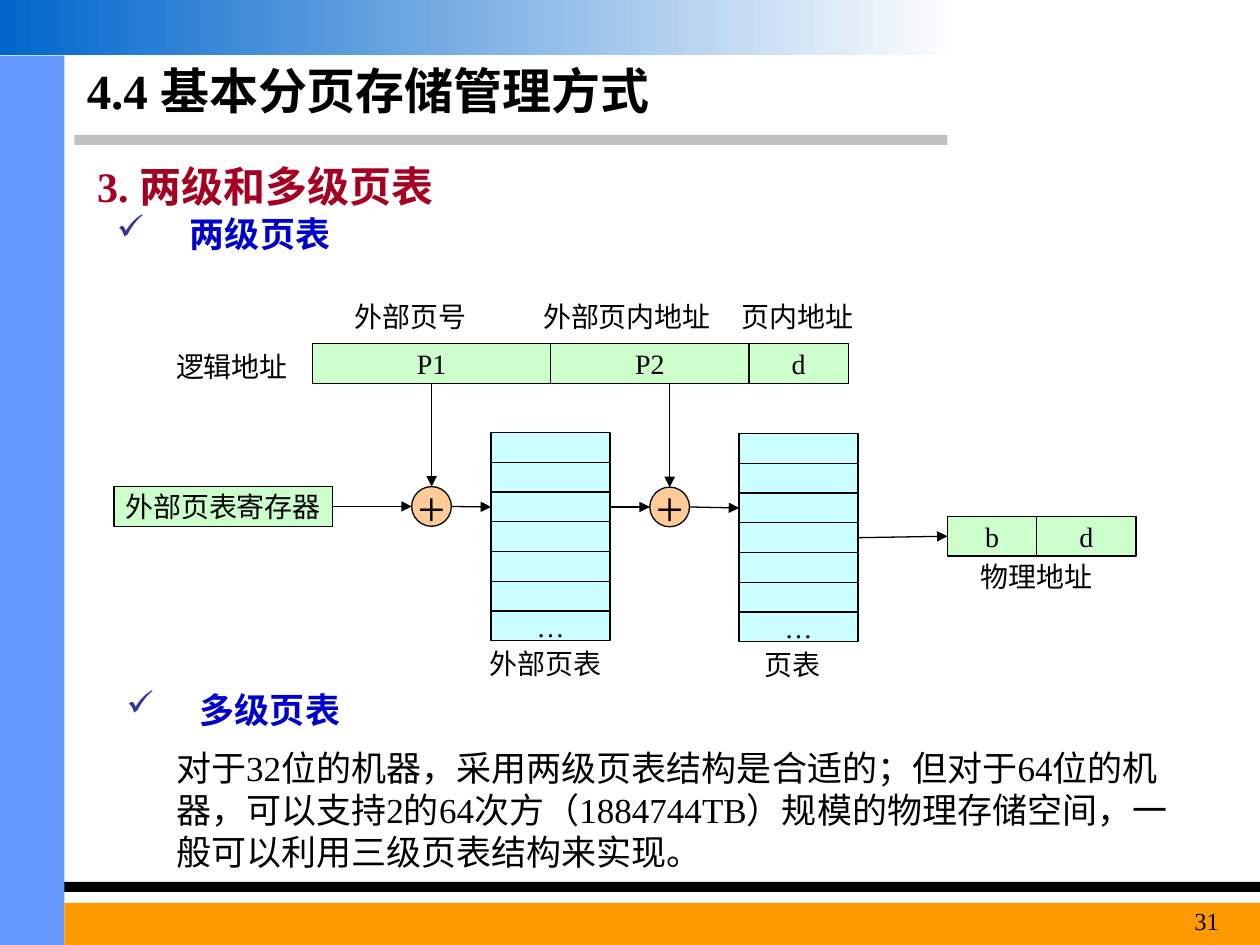
from dataclasses import dataclass
from typing import Any, NamedTuple

from lxml.etree import SubElement
from pptx import Presentation
from pptx.dml.color import RGBColor
from pptx.enum.shapes import MSO_CONNECTOR, MSO_SHAPE
from pptx.enum.text import MSO_ANCHOR, PP_ALIGN
from pptx.oxml.ns import qn
from pptx.util import Cm, Pt


@dataclass(frozen=True)
class Theme:
    font: str = "Times New Roman"
    ink: str = "000000"
    heading: str = "A50021"
    topic: str = "0000CC"
    check: str = "333399"
    rule: str = "C0C0C0"
    sidebar: str = "6699FF"
    footer: str = "FF9900"
    banner_start: str = "0066CC"
    banner_end: str = "FEFEFE"
    address: str = "CCFFCC"
    table: str = "CCFFFF"
    adder: str = "FFCC99"
    title_size: int = 28
    heading_size: int = 24
    body_size: int = 20
    label_size: int = 16
    number_size: int = 14
    line_width: float = 0.75


THEME = Theme()
TOP, LEFT, BOTTOM, RIGHT = range(4)
FIELD_HEIGHT = 0.8
ROW_HEIGHT = 0.6
ROW_COUNT = 7


class Anchor(NamedTuple):
    x: int
    y: int
    shape: Any = None
    side: int = TOP


def color(value):
    return RGBColor.from_string(value)


def style(paragraph, size, ink=THEME.ink, bold=False, align=PP_ALIGN.LEFT):
    paragraph.alignment = align
    font = paragraph.font
    font.name = THEME.font
    font.size = Pt(size)
    font.bold = bold
    font.color.rgb = color(ink)


def add_band(slide, left, top, width, height, fill):
    shape = slide.shapes.add_shape(
        MSO_SHAPE.RECTANGLE, Cm(left), Cm(top), Cm(width), Cm(height))
    shape.shadow.inherit = False
    shape.fill.solid()
    shape.fill.fore_color.rgb = color(fill)
    shape.line.fill.background()
    return shape


def add_node(slide, left, top, width, height, fill, text="",
             kind=MSO_SHAPE.RECTANGLE, size=THEME.label_size):
    shape = slide.shapes.add_shape(kind, Cm(left), Cm(top), Cm(width), Cm(height))
    shape.shadow.inherit = False
    shape.fill.solid()
    shape.fill.fore_color.rgb = color(fill)
    shape.line.color.rgb = color(THEME.ink)
    shape.line.width = Pt(THEME.line_width)
    if text:
        frame = shape.text_frame
        frame.word_wrap = False
        frame.vertical_anchor = MSO_ANCHOR.MIDDLE
        frame.text = text
        style(frame.paragraphs[0], size, align=PP_ALIGN.CENTER)
    return shape


def add_field(slide, left, top, width, text):
    return add_node(slide, left, top, width, FIELD_HEIGHT, THEME.address, text)


def add_adder(slide, left, top):
    return add_node(slide, left, top, FIELD_HEIGHT, FIELD_HEIGHT, THEME.adder, "+",
                    MSO_SHAPE.OVAL, THEME.title_size)


def add_page_table(slide, left, top):
    texts = [""] * (ROW_COUNT - 1) + ["…"]
    return [add_node(slide, left, top + index * ROW_HEIGHT, 2.4, ROW_HEIGHT,
                     THEME.table, text)
            for index, text in enumerate(texts)]


def add_text(slide, left, top, width, height, text, size, **options):
    box = slide.shapes.add_textbox(Cm(left), Cm(top), Cm(width), Cm(height))
    frame = box.text_frame
    frame.word_wrap = True
    frame.text = text
    style(frame.paragraphs[0], size, **options)
    return frame


def add_topic(slide, left, top, text):
    box = slide.shapes.add_textbox(Cm(left), Cm(top), Cm(22.4), Cm(1))
    frame = box.text_frame
    frame.word_wrap = True
    frame.text = text
    paragraph = frame.paragraphs[0]
    paragraph.line_spacing = 0.8
    properties = paragraph._p.get_or_add_pPr()
    properties.set("marL", str(Cm(1.48)))
    properties.set("indent", str(-Cm(1.48)))
    bullet_color = SubElement(properties, qn("a:buClr"))
    SubElement(bullet_color, qn("a:srgbClr"), val=THEME.check)
    SubElement(properties, qn("a:buChar"), char="✓")
    style(paragraph, THEME.body_size, THEME.topic, bold=True)


def anchor(shape, side):
    across, down = {TOP: (1, 0), LEFT: (0, 1), BOTTOM: (1, 2), RIGHT: (2, 1)}[side]
    x = shape.left + shape.width * across // 2
    y = shape.top + shape.height * down // 2
    joins = shape.auto_shape_type == MSO_SHAPE.RECTANGLE or side == TOP
    return Anchor(x, y, shape if joins else None, side)


def add_arrow(slide, begin, end):
    connector = slide.shapes.add_connector(
        MSO_CONNECTOR.STRAIGHT, begin.x, begin.y, end.x, end.y)
    if begin.shape is not None:
        connector.begin_connect(begin.shape, begin.side)
    if end.shape is not None:
        connector.end_connect(end.shape, end.side)
    connector.line.color.rgb = color(THEME.ink)
    connector.line.width = Pt(THEME.line_width)
    SubElement(connector.line._get_or_add_ln(), qn("a:tailEnd"), type="triangle")
    SubElement(connector._element.spPr, qn("a:effectLst"))


def add_frame(slide):
    add_band(slide, 1.5, 2.72, 17.6, 0.2, THEME.rule)
    add_band(slide, 0, 17.78, 25.4, 0.2, THEME.ink)
    add_band(slide, 0, 1.12, 1.3, 17.93, THEME.sidebar)
    add_band(slide, 1.3, 18.2, 24.1, 0.85, THEME.footer)
    fill = add_band(slide, 0, 0, 19.3, 1.12, THEME.banner_start).fill
    fill.gradient()
    fill.gradient_angle = 0
    for stop, value in zip(fill.gradient_stops, (THEME.banner_start, THEME.banner_end)):
        stop.color.rgb = color(value)


def add_diagram(slide):
    first = add_field(slide, 6.3, 6.93, 4.8, "P1")
    second = add_field(slide, 11.1, 6.93, 4, "P2")
    add_field(slide, 15.1, 6.93, 2, "d")
    register = add_field(slide, 2.3, 9.81, 4.4, "外部页表寄存器")
    outer_adder = add_adder(slide, 8.3, 9.81)
    inner_adder = add_adder(slide, 13.1, 9.82)
    outer_table = add_page_table(slide, 9.9, 8.72)
    inner_table = add_page_table(slide, 14.9, 8.74)
    frame_field = add_field(slide, 19.1, 10.41, 1.8, "b")
    add_field(slide, 20.9, 10.41, 2, "d")

    drop = anchor(inner_adder, TOP)
    add_arrow(slide, Anchor(drop.x, second.top + second.height), drop)
    for source, source_side, target, target_side in (
            (first, BOTTOM, outer_adder, TOP),
            (register, RIGHT, outer_adder, LEFT),
            (outer_adder, RIGHT, outer_table[2], LEFT),
            (outer_table[2], RIGHT, inner_adder, LEFT),
            (inner_adder, RIGHT, inner_table[2], LEFT),
            (inner_table[3], RIGHT, frame_field, LEFT)):
        add_arrow(slide, anchor(source, source_side), anchor(target, target_side))

    for left, top, width, text, align in (
            (6.9, 5.92, 3, "外部页号", PP_ALIGN.LEFT),
            (10.7, 5.92, 4.36, "外部页内地址", PP_ALIGN.LEFT),
            (14.7, 5.92, 3, "页内地址", PP_ALIGN.LEFT),
            (3.3, 6.93, 3, "逻辑地址", PP_ALIGN.LEFT),
            (9.5, 12.9, 3, "外部页表", PP_ALIGN.CENTER),
            (14.7, 12.93, 2.54, "页表", PP_ALIGN.CENTER),
            (19.5, 11.15, 2.8, "物理地址", PP_ALIGN.CENTER)):
        add_text(slide, left, top, width, 0.94, text, THEME.label_size, align=align)


def main():
    presentation = Presentation()
    presentation.slide_width, presentation.slide_height = Cm(25.4), Cm(19.05)
    slide = presentation.slides.add_slide(presentation.slide_layouts[6])
    add_frame(slide)
    title = add_text(slide, 1.5, 1.12, 17.4, 1.4, "4.4 基本分页存储管理方式",
                     THEME.title_size, bold=True)
    title.vertical_anchor = MSO_ANCHOR.MIDDLE
    add_text(slide, 1.71, 3.12, 20, 1.27, "3. 两级和多级页表",
             THEME.heading_size, ink=THEME.heading, bold=True)
    add_topic(slide, 2.1, 4.32, "两级页表")
    add_diagram(slide)
    add_topic(slide, 2.3, 13.92, "多级页表")
    add_text(slide, 3.3, 14.93, 21, 2.8,
             "对于32位的机器，采用两级页表结构是合适的；但对于64位的机器，"
             "可以支持2的64次方（1884744TB）规模的物理存储空间，"
             "一般可以利用三级页表结构来实现。", THEME.body_size)
    add_text(slide, 22.5, 18.13, 2.32, 0.92, "31", THEME.number_size,
             align=PP_ALIGN.RIGHT)
    presentation.save("out.pptx")


if __name__ == "__main__":
    main()
